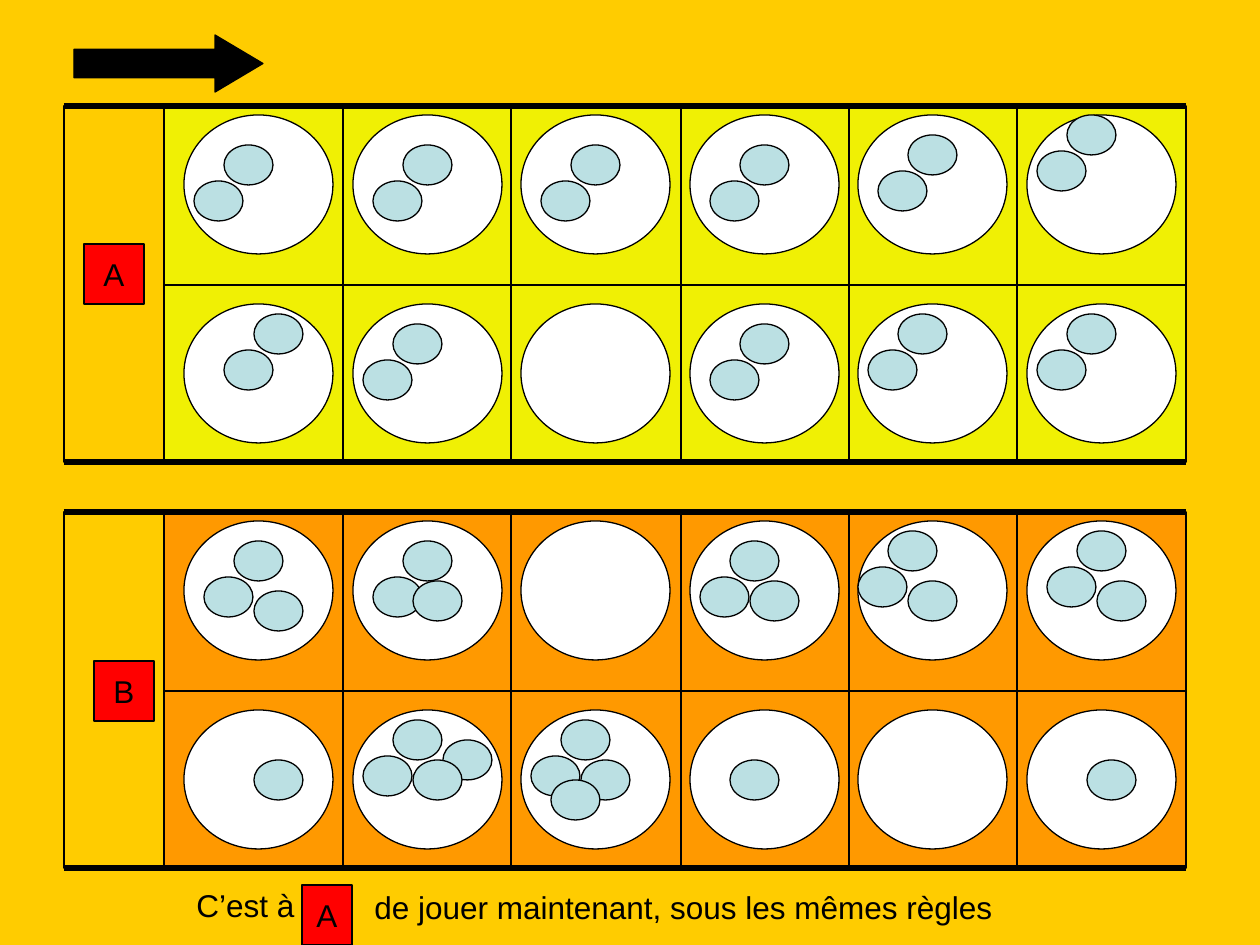
import pptx
import pptx.dml.color
import pptx.enum.shapes
import pptx.enum.text
import pptx.oxml
import pptx.util

RGBColor = pptx.dml.color.RGBColor
SHAPE = pptx.enum.shapes.MSO_SHAPE
ALIGN = pptx.enum.text.PP_ALIGN
ANCHOR = pptx.enum.text.MSO_ANCHOR

GOLD = RGBColor(0xFF, 0xCC, 0x00)
YELLOW = RGBColor(0xF0, 0xF0, 0x04)
ORANGE = RGBColor(0xFF, 0x99, 0x00)
RED = RGBColor(0xFF, 0x00, 0x00)
PALE_BLUE = RGBColor(0xBB, 0xE0, 0xE3)
WHITE = RGBColor(0xFF, 0xFF, 0xFF)
BLACK = RGBColor(0x00, 0x00, 0x00)

PX = 914400 / 126
STORE_LEFT = 64
COLUMN_EDGES = [164, 343, 511, 681, 849, 1017, 1186]
ROW_EDGES = [0, 179, 356]
HOLE_LEFT, HOLE_STEP = 184, 168.6
HOLE_TOPS = [9, 198]
HOLE_SIZE = (149, 139)
SEED_SIZE = (49, 40)


def emu(px):
    return pptx.util.Emu(round(px * PX))


class Board:
    """Holds the current slide and the style of everything drawn on it."""

    font = "Arial"
    text_size = pptx.util.Pt(18)
    outline = pptx.util.Pt(0.75)

    def __init__(self, slide):
        self.slide = slide
        slide.background.fill.solid()
        slide.background.fill.fore_color.rgb = GOLD

    def shape(self, kind, left, top, width, height, fill=None):
        shape = self.slide.shapes.add_shape(
            kind, emu(left), emu(top), emu(width), emu(height))
        shape.shadow.inherit = False
        if fill is None:
            shape.fill.background()
        else:
            shape.fill.solid()
            shape.fill.fore_color.rgb = fill
        shape.line.color.rgb = BLACK
        shape.line.width = self.outline
        return shape

    def line(self, left, right, y, weight):
        rule = self.slide.shapes.add_connector(
            pptx.enum.shapes.MSO_CONNECTOR.STRAIGHT,
            emu(left), emu(y), emu(right), emu(y))
        rule.line.color.rgb = BLACK
        rule.line.width = pptx.util.Pt(weight)
        properties = rule.element.spPr
        properties.append(properties.makeelement(pptx.oxml.ns.qn("a:effectLst"), {}))

    def set_text(self, frame, text, align, wrap):
        frame.text = text
        frame.word_wrap = wrap
        paragraph = frame.paragraphs[0]
        paragraph.alignment = align
        font = paragraph.runs[0].font
        font.name = self.font
        font.size = self.text_size
        font.color.rgb = BLACK

    def player(self, name, left, top, width, height):
        badge = self.shape(SHAPE.RECTANGLE, left, top, width, height, RED)
        badge.text_frame.vertical_anchor = ANCHOR.MIDDLE
        self.set_text(badge.text_frame, name, ALIGN.CENTER, False)

    def caption(self, text, left, top, width, wrap):
        box = self.slide.shapes.add_textbox(emu(left), emu(top), emu(width), emu(50))
        self.set_text(box.text_frame, text, ALIGN.LEFT, wrap)

    def hole(self, left, top, seeds):
        self.shape(SHAPE.OVAL, left, top, *HOLE_SIZE, WHITE)
        for x, y in seeds:
            self.shape(SHAPE.OVAL, left + x, top + y, *SEED_SIZE, PALE_BLUE)

    def side(self, top, fill, rows):
        """Draws one player's store, two rows of cells and their holes."""
        row_tops = [top + edge for edge in ROW_EDGES]
        left, right = COLUMN_EDGES[0], COLUMN_EDGES[-1]
        for upper, lower in zip(row_tops, row_tops[1:]):
            for start, end in zip(COLUMN_EDGES, COLUMN_EDGES[1:]):
                self.shape(SHAPE.RECTANGLE, start, upper, end - start, lower - upper, fill)
        self.shape(SHAPE.RECTANGLE, STORE_LEFT, top, left - STORE_LEFT, ROW_EDGES[-1])
        self.line(STORE_LEFT, right, row_tops[0], 3)
        self.line(STORE_LEFT, right, row_tops[2], 3)
        self.line(left, right, row_tops[1], 1)
        for hole_top, holes in zip(HOLE_TOPS, rows):
            for column, seeds in enumerate(holes):
                self.hole(round(HOLE_LEFT + column * HOLE_STEP), top + hole_top, seeds)


def pair(x, y, *others):
    """Seed offsets in a hole: one seed, its lower-left neighbour, then others."""
    return [(x, y), (x - 30, y + 36), *others]


SEEDS_A = [
    [pair(40, 30), pair(50, 30), pair(50, 30), pair(50, 30), pair(50, 20), pair(40, 0)],
    [pair(70, 10), pair(40, 20), [], pair(50, 20), pair(40, 10), pair(40, 10)],
]
SEEDS_B = [
    [pair(50, 20, (70, 70)), pair(50, 20, (60, 60)), [],
     pair(40, 20, (60, 60)), pair(30, 10, (50, 60)), pair(50, 10, (70, 60))],
    [[(70, 50)], pair(40, 10, (90, 30), (60, 50)), pair(40, 10, (60, 50), (30, 70)),
     [(40, 50)], [], [(60, 50)]],
]


def main():
    deck = pptx.Presentation()
    deck.slide_width, deck.slide_height = emu(1260), emu(945)
    board = Board(deck.slides.add_slide(deck.slide_layouts[6]))

    direction = board.shape(SHAPE.RIGHT_ARROW, 74, 35, 189, 57, BLACK)
    direction.adjustments[0] = 0.5
    direction.adjustments[1] = 0.84

    board.side(106, YELLOW, SEEDS_A)
    board.side(512, ORANGE, SEEDS_B)
    board.player("A", 84, 244, 60, 60)
    board.player("B", 94, 661, 60, 60)

    board.caption("C’est à", 184, 880, 132, False)
    board.player("A", 302, 885, 50, 60)
    board.caption("de jouer maintenant, sous les mêmes règles", 362, 882, 670, True)

    deck.save("out.pptx")


if __name__ == "__main__":
    main()
